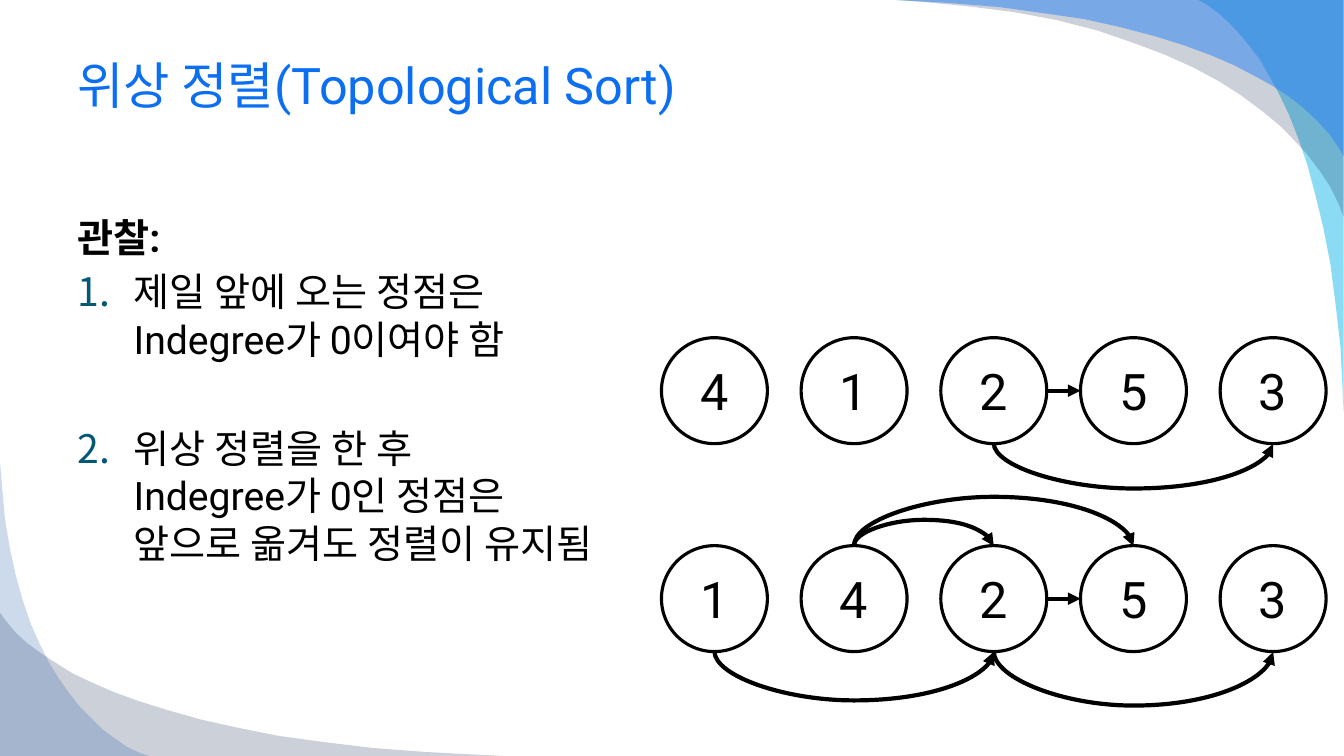
from lxml.etree import SubElement
from pptx import Presentation
from pptx.dml.color import RGBColor
from pptx.enum.shapes import MSO_CONNECTOR, MSO_SHAPE
from pptx.enum.text import MSO_ANCHOR, PP_ALIGN
from pptx.oxml.ns import qn
from pptx.util import Cm, Pt

BLACK = RGBColor(0x00, 0x00, 0x00)
WHITE = RGBColor(0xFF, 0xFF, 0xFF)
TITLE_BLUE = RGBColor(0x0C, 0x6F, 0xF2)
NUMBER_TEAL = RGBColor(0x00, 0x58, 0x76)
CYAN = RGBColor(0x00, 0xB1, 0xE9)
NAVY = RGBColor(0x02, 0x17, 0x41)
SKY = RGBColor(0x24, 0x7F, 0xF4)
DEEP_BLUE = RGBColor(0x08, 0x4A, 0xA1)
FONT = "Roboto"


def style_text(paragraph, size, color, bold=False):
    paragraph.font.name = FONT
    paragraph.font.size = Pt(size)
    paragraph.font.color.rgb = color
    paragraph.font.bold = bold


def style_arrow(connector):
    connector.line.color.rgb = BLACK
    connector.line.width = Pt(3)
    SubElement(connector.line._get_or_add_ln(), qn("a:tailEnd"), type="triangle")
    SubElement(connector.element.spPr, qn("a:effectLst"))


presentation = Presentation()
presentation.slide_width = Cm(33.87)
presentation.slide_height = Cm(19.05)
slide = presentation.slides.add_slide(presentation.slide_layouts[5])
shapes = slide.shapes

# Corner outlines are in hundredths of an inch.
corner_waves = [
    (CYAN, 45, [(1333, 408), (1333, 0), (1189, 0), (1198, 5), (1210, 14), (1220, 23),
                (1231, 35), (1240, 46), (1250, 59), (1259, 75), (1269, 93), (1279, 114),
                (1288, 137), (1297, 163), (1305, 193), (1313, 226), (1320, 262),
                (1325, 301), (1330, 344), (1332, 384)]),
    (NAVY, 20, [(889, 0), (1333, 0), (1333, 215), (1328, 202), (1319, 184), (1309, 169),
                (1296, 152), (1283, 138), (1269, 124), (1252, 110), (1232, 95),
                (1210, 81), (1184, 67), (1155, 54), (1123, 42), (1088, 30), (1049, 20),
                (1006, 12), (958, 6), (916, 2)]),
    (SKY, 49, [(889, 0), (1333, 0), (1333, 155), (1328, 146), (1319, 133), (1306, 119),
               (1292, 106), (1279, 96), (1264, 86), (1246, 76), (1225, 65), (1202, 55),
               (1175, 45), (1146, 36), (1112, 27), (1076, 19), (1035, 13), (991, 7),
               (942, 3)]),
    (NAVY, 20, [(500, 750), (0, 750), (0, 608), (6, 616), (16, 628), (27, 638),
                (42, 649), (56, 658), (72, 668), (91, 677), (114, 687), (139, 696),
                (168, 705), (200, 714), (236, 722), (276, 730), (320, 736), (369, 742),
                (422, 746), (460, 748)]),
    (DEEP_BLUE, 20, [(0, 458), (0, 750), (148, 750), (139, 747), (126, 741), (113, 732),
                     (101, 723), (89, 711), (79, 701), (69, 688), (59, 674), (49, 658),
                     (40, 640), (31, 620), (23, 597), (16, 572), (10, 545), (5, 515),
                     (2, 482)]),
]
for color, opacity, points in corner_waves:
    builder = shapes.build_freeform(*points[0], scale=Cm(2.54) / 100)
    builder.add_line_segments(points[1:], close=True)
    wave = builder.convert_to_shape()
    wave.shadow.inherit = False
    wave.line.fill.background()
    wave.fill.solid()
    wave.fill.fore_color.rgb = color
    color_element = next(wave.element.spPr.iter(qn("a:srgbClr")))
    SubElement(color_element, qn("a:alpha"), val=str(opacity * 1000))

title = shapes.title
shapes.element.append(title.element)
title.left, title.top, title.width, title.height = Cm(1.7), Cm(0.84), Cm(30.48), Cm(2.57)
title.text_frame.text = "위상 정렬(Topological Sort)"
title.text_frame.vertical_anchor = MSO_ANCHOR.MIDDLE
title_paragraph = title.text_frame.paragraphs[0]
title_paragraph.alignment = PP_ALIGN.LEFT
style_text(title_paragraph, 36, TITLE_BLUE)

body = shapes.add_textbox(Cm(1.7), Cm(5.35), Cm(14.1), Cm(9.2))
body.text_frame.word_wrap = True
body.text_frame.margin_top = 0
observations = [
    ("관찰:", 0),
    ("제일 앞에 오는 정점은\nIndegree가 0이여야 함", 5),
    ("위상 정렬을 한 후\nIndegree가 0인 정점은\n앞으로 옮겨도 정렬이 유지됨", 44),
]
for index, (text, space_before) in enumerate(observations):
    paragraph = body.text_frame.paragraphs[0] if index == 0 else body.text_frame.add_paragraph()
    paragraph.text = text
    if index > 0:
        properties = paragraph._p.get_or_add_pPr()
        properties.set("marL", str(Cm(1.42)))
        properties.set("indent", str(-Cm(1.42)))
        bullet_color = SubElement(properties, qn("a:buClr"))
        SubElement(bullet_color, qn("a:srgbClr"), val=str(NUMBER_TEAL))
        SubElement(properties, qn("a:buFont"), typeface=FONT)
        SubElement(properties, qn("a:buAutoNum"), type="arabicPeriod")
    paragraph.line_spacing = Pt(34)
    paragraph.space_before = Pt(space_before)
    style_text(paragraph, 28, BLACK, bold=index == 0)

NODE_LEFT, NODE_STEP, NODE_SIZE = 16.67, 3.52, 2.67
CURVE_DROP = 0.02
graph_rows = [
    (8.51, "41253", [(2, 4, 1.14)]),
    (13.75, "14253", [(1, 2, -0.64), (1, 3, -1.22), (0, 2, 1.24), (2, 4, 1.37)]),
]
for row_top, labels, curves in graph_rows:
    for column, label in enumerate(labels):
        node = shapes.add_shape(MSO_SHAPE.OVAL, Cm(NODE_LEFT + column * NODE_STEP),
                                Cm(row_top), Cm(NODE_SIZE), Cm(NODE_SIZE))
        node.shadow.inherit = False
        node.fill.solid()
        node.fill.fore_color.rgb = WHITE
        node.line.color.rgb = BLACK
        node.line.width = Pt(2.25)
        node.text_frame.text = label
        node.text_frame.vertical_anchor = MSO_ANCHOR.MIDDLE
        node.text_frame.paragraphs[0].alignment = PP_ALIGN.CENTER
        style_text(node.text_frame.paragraphs[0], 36, BLACK)

    arrow_y = Cm(row_top + NODE_SIZE / 2)
    arrow = shapes.add_connector(MSO_CONNECTOR.STRAIGHT,
                                 Cm(NODE_LEFT + 2 * NODE_STEP + NODE_SIZE), arrow_y,
                                 Cm(NODE_LEFT + 3 * NODE_STEP), arrow_y)
    style_arrow(arrow)

    for start, end, depth in curves:
        span = (end - start) * NODE_STEP
        middle_x = NODE_LEFT + (start + end) / 2 * NODE_STEP + NODE_SIZE / 2
        edge_y = row_top + (NODE_SIZE if depth > 0 else 0)
        curve = shapes.add_connector(MSO_CONNECTOR.CURVE,
                                     Cm(middle_x - CURVE_DROP / 2), Cm(edge_y - span / 2),
                                     Cm(middle_x + CURVE_DROP / 2), Cm(edge_y + span / 2))
        transform = curve.element.spPr.find(qn("a:xfrm"))
        transform.set("rot", str(270 * 60000))
        transform.set("flipH", "1")
        adjustments = next(curve.element.spPr.iter(qn("a:avLst")))
        SubElement(adjustments, qn("a:gd"), name="adj1",
                   fmla=f"val {round(depth / CURVE_DROP * 100000)}")
        style_arrow(curve)

presentation.save("out.pptx")
